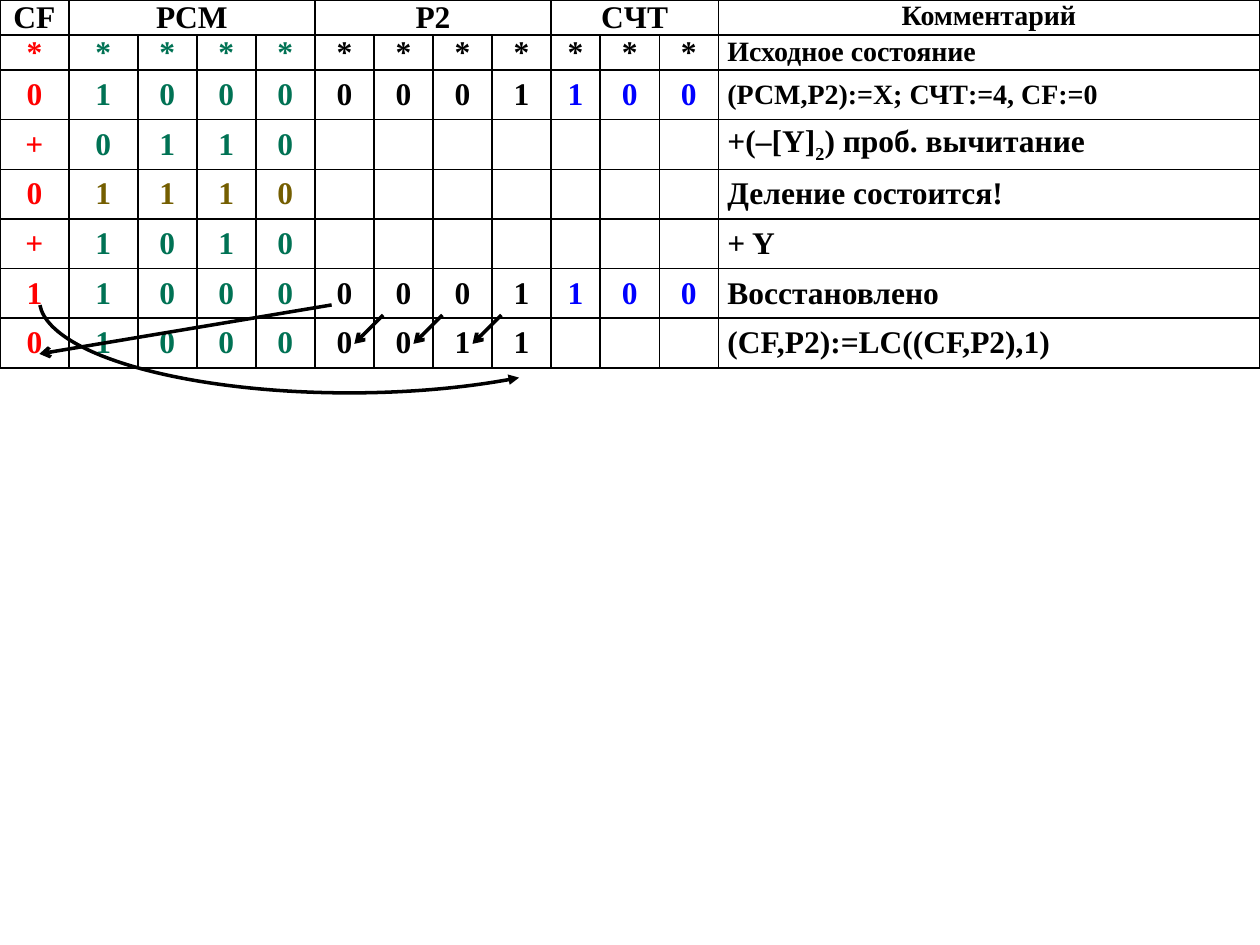
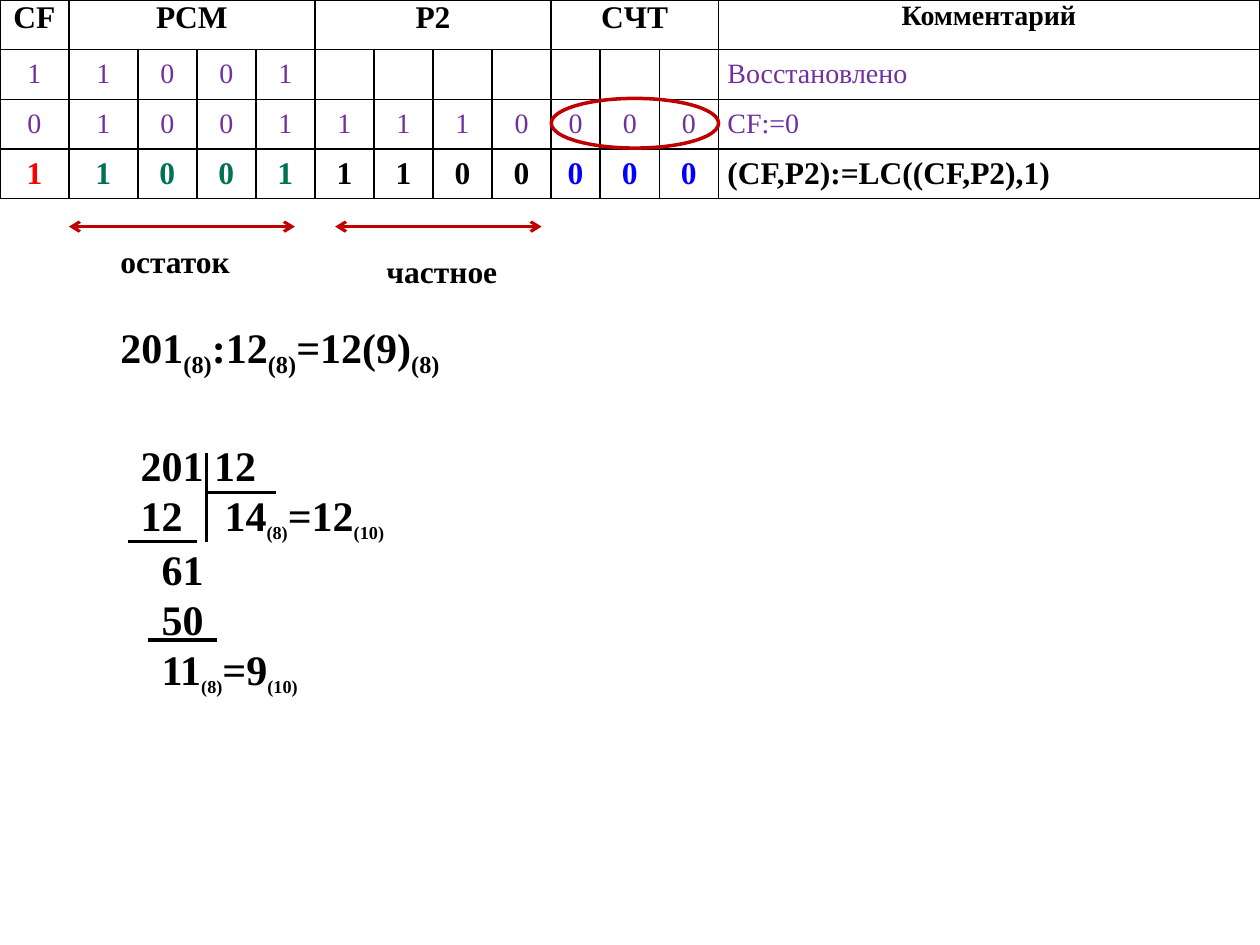
from dataclasses import dataclass
from itertools import accumulate
from typing import Any, Optional

from lxml import etree
from pptx import Presentation
from pptx.dml.color import RGBColor
from pptx.enum import shapes, text
from pptx.oxml import ns
from pptx.util import Pt

BLACK = RGBColor(0, 0, 0)
RED = RGBColor(0xFF, 0, 0)
GREEN = RGBColor(0, 0x72, 0x54)
OLIVE = RGBColor(0x74, 0x5E, 0)
BLUE = RGBColor(0, 0, 0xFF)
PURPLE = RGBColor(0x70, 0x30, 0xA0)
CRIMSON = RGBColor(0xC0, 0, 0)
FONT = "Times New Roman"

COLUMNS = [39.38] * 2 + [33.75] * 7 + [28.13] + [33.75] * 2 + [309.36]
EDGES = [0, *accumulate(COLUMNS)]
COMMENT_COLUMN = 12
COUNTER_COLUMN = 9
HEADINGS = [(0, 0, "CF"), (1, 4, "PCM"), (5, 8, "P2"), (9, 11, "CЧТ")]
SHORT_ROW = 20
TALL_ROW = 28.4


@dataclass(frozen=True)
class Step:
    digits: str
    comment: str
    height: float = TALL_ROW
    size: float = 18
    comment_size: float = 18
    bold: bool = True
    flag: RGBColor = RED
    register: RGBColor = GREEN
    quotient: RGBColor = BLACK
    counter: RGBColor = BLUE
    comment_color: RGBColor = BLACK

    def colors(self) -> list[RGBColor]:
        return [self.flag] + [self.register] * 4 + [self.quotient] * 4 + [self.counter] * 3


@dataclass(frozen=True)
class Line:
    start: tuple[float, float]
    end: tuple[float, float]
    color: RGBColor = BLACK
    width: float = 1.75
    head: Optional[str] = None
    tail: Optional[str] = None


@dataclass(frozen=True)
class Row:
    content: str
    margin: float = 0
    number: Optional[int] = None
    tab: Optional[float] = None


def purple_step(digits: str, comment: str) -> Step:
    return Step(digits, comment, size=16, comment_size=16, bold=False, flag=PURPLE, register=PURPLE,
                quotient=PURPLE, counter=PURPLE, comment_color=PURPLE)


RESTORING_STEPS = [
    Step("*" * 12, "Исходное состояние", SHORT_ROW, comment_size=16, counter=BLACK),
    Step("010000001100", "(РСМ,Р2):=Х; СЧТ:=4, CF:=0", comment_size=16),
    Step("+0110", "+(–[Y]_2_) проб. вычитание"),
    Step("01110", "Деление состоится!", register=OLIVE),
    Step("+1010", "+ Y"),
    Step("110000001100", "Восстановлено"),
    Step("010000011", "(CF,P2):=LC((CF,P2),1)"),
]
FINAL_STEPS = [
    purple_step("11001", "Восстановлено"),
    purple_step("010011110000", "CF:=0"),
    Step("110011100000", "(CF,P2):=LC((CF,P2),1)"),
]
SHIFT_ARROWS = [
    Line((286.5 - 33.75 * i, 180), (270 - 33.75 * i, 196.5), width=2, tail="arrow") for i in range(3)
] + [Line((189.5, 174.25), (22.5, 202.25), width=2, tail="arrow")]
RESULT_ARROWS = [
    Line((right, 129.5), (left, 129.5), CRIMSON, head="arrow", tail="arrow")
    for left, right in [(39.38, 168.5), (191.5, 309.5)]
]
DIVISION_LINES = [
    Line((118, 309.75), (118, 258.75)),
    Line((157.5, 281.25), (118, 281.25)),
    Line((112.5, 309.5), (73.25, 309.5)),
    Line((123.75, 365.75), (84.5, 365.75)),
]
DIVISION_ROWS = [
    Row("12", 42, number=201),
    Row("12\t14_(8)_=12_(10)_", tab=48),
    Row("61", 12),
    Row("50", 12),
    Row("11_(8)_=9_(10)_", 12),
]


def add_child(parent: Any, tag: str, **attributes: str) -> Any:
    child = etree.SubElement(parent, ns.qn(tag))
    for name, value in attributes.items():
        child.set(name, value)
    return child


def write(para: Any, content: str, *, size: float = 18, color: RGBColor = BLACK, bold: bool = True,
          sub_size: Optional[float] = None) -> None:
    for i, part in enumerate(content.split("_")):
        if not part:
            continue
        lowered = i % 2 == 1
        span = para.add_run()
        span.text = part
        span.font.name = FONT
        span.font.size = Pt(sub_size if lowered and sub_size else size)
        span.font.bold = bold
        span.font.color.rgb = color
        if lowered:
            span.font._element.set("baseline", "-25000")


def border_cell(cell: Any) -> None:
    properties = cell._tc.get_or_add_tcPr()
    for side in ("a:lnL", "a:lnR", "a:lnT", "a:lnB"):
        edge = add_child(properties, side, w=str(Pt(1)))
        add_child(add_child(edge, "a:solidFill"), "a:srgbClr", val=str(BLACK))


def fill_cell(cell: Any, content: str, *, centered: bool = True, **font: Any) -> None:
    para = cell.text_frame.paragraphs[0]
    para.space_after = Pt(1)
    if centered:
        para.alignment = text.PP_ALIGN.CENTER
    write(para, content, **font)


def add_trace(page: Any, header_height: float, steps: list[Step]) -> None:
    heights = [header_height] + [step.height for step in steps]
    frame = page.shapes.add_table(len(heights), len(COLUMNS), Pt(0), Pt(0), Pt(720), Pt(sum(heights)))
    table = frame.table
    table.first_row = table.horz_banding = False
    for column, width in zip(table.columns, COLUMNS):
        column.width = Pt(width)
    for row, height in zip(table.rows, heights):
        row.height = Pt(height)
    for i, row in enumerate(table.rows):
        for cell in row.cells:
            cell.margin_left = cell.margin_right = Pt(5.25)
            cell.margin_top = cell.margin_bottom = Pt(0)
            cell.vertical_anchor = text.MSO_ANCHOR.MIDDLE if i else text.MSO_ANCHOR.TOP
            border_cell(cell)
            cell.fill.background()
    for first, last, heading in HEADINGS:
        if last > first:
            table.cell(0, first).merge(table.cell(0, last))
        fill_cell(table.cell(0, first), heading)
    fill_cell(table.cell(0, COMMENT_COLUMN), "Комментарий", size=16)
    for i, step in enumerate(steps, 1):
        for j, (digit, color) in enumerate(zip(step.digits, step.colors())):
            fill_cell(table.cell(i, j), digit, size=step.size, color=color, bold=step.bold)
        fill_cell(table.cell(i, COMMENT_COLUMN), step.comment, centered=False, size=step.comment_size,
                  color=step.comment_color, bold=step.bold)


def style_line(line: Any, color: RGBColor, width: float, head: Optional[str] = None,
               tail: Optional[str] = None) -> None:
    line.color.rgb = color
    line.width = Pt(width)
    for tag, kind in (("a:headEnd", head), ("a:tailEnd", tail)):
        if kind:
            add_child(line._get_or_add_ln(), tag, type=kind)


def add_lines(target: Any, lines: list[Line]) -> None:
    for item in lines:
        connector = target.add_connector(shapes.MSO_CONNECTOR.STRAIGHT, *map(Pt, item.start + item.end))
        style_line(connector.line, item.color, item.width, item.head, item.tail)
        add_child(connector._element.spPr, "a:effectLst")


def add_outline(page: Any, kind: Any, frame: tuple[float, ...], color: RGBColor,
                head: Optional[str] = None) -> Any:
    shape = page.shapes.add_shape(kind, *map(Pt, frame))
    shape.shadow.inherit = False
    shape.fill.background()
    style_line(shape.line, color, 2, head)
    return shape


def add_text(target: Any, frame: tuple[float, ...], rows: list[Row], **font: Any) -> None:
    box = target.add_textbox(*map(Pt, frame))
    box.text_frame.word_wrap = False
    box.text_frame.auto_size = text.MSO_AUTO_SIZE.SHAPE_TO_FIT_TEXT
    for i, row in enumerate(rows):
        para = box.text_frame.add_paragraph() if i else box.text_frame.paragraphs[0]
        properties = para._p.get_or_add_pPr()
        if row.margin:
            properties.set("marL", str(Pt(row.margin)))
        if row.number:
            properties.set("indent", str(-Pt(row.margin)))
            add_child(properties, "a:buFont", typeface=FONT)
            add_child(properties, "a:buAutoNum", type="arabicPlain", startAt=str(row.number))
        if row.tab:
            stops = add_child(properties, "a:tabLst")
            add_child(stops, "a:tab", pos=str(Pt(row.tab)), algn="l")
        write(para, row.content, **font)


def build_restoring_page(page: Any) -> None:
    add_trace(page, SHORT_ROW, RESTORING_STEPS)
    add_lines(page.shapes, SHIFT_ARROWS)
    carry = add_outline(page, shapes.MSO_SHAPE.ARC, (22.5, 118, 354.25, 106.5), BLACK, "triangle")
    carry.adjustments[0] = 14.8
    carry.adjustments[1] = 107.4


def build_result_page(page: Any) -> None:
    add_trace(page, TALL_ROW, FINAL_STEPS)
    left, right = EDGES[COUNTER_COLUMN], EDGES[COMMENT_COLUMN]
    add_outline(page, shapes.MSO_SHAPE.OVAL, (left, 56.25, right - left, TALL_ROW), CRIMSON)
    add_lines(page.shapes, RESULT_ARROWS)
    add_text(page.shapes, (61.75, 134.75, 78, 29), [Row("остаток")])
    add_text(page.shapes, (213.75, 140.5, 78.5, 29), [Row("частное")])
    add_text(page.shapes, (61.75, 180, 206, 36), [Row("201_(8)_:12_(8)_=12(9)_(8)_")], size=24)
    division = page.shapes.add_group_shape()
    add_text(division.shapes, (73.25, 247.5, 160, 152.5), DIVISION_ROWS, size=24, sub_size=18)
    add_lines(division.shapes, DIVISION_LINES)


def main() -> None:
    deck = Presentation()
    deck.slide_width, deck.slide_height = Pt(720), Pt(540)
    for build in (build_restoring_page, build_result_page):
        build(deck.slides.add_slide(deck.slide_layouts[6]))
    deck.save("out.pptx")


if __name__ == "__main__":
    main()
